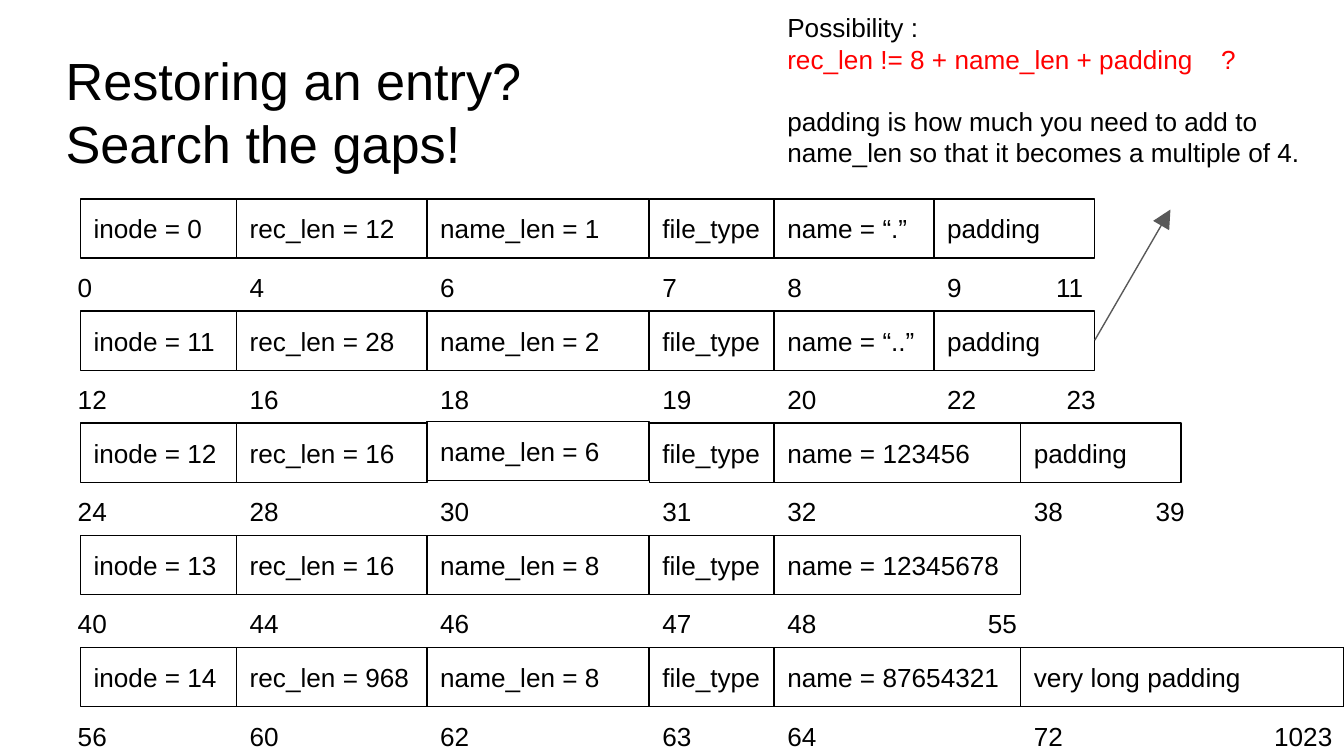
from pptx import Presentation
from pptx.dml.color import RGBColor as RGB
from pptx.enum.shapes import MSO_CONNECTOR as Connector, MSO_SHAPE as Shape
from pptx.enum.text import MSO_ANCHOR as Anchor, MSO_AUTO_SIZE as AutoSize, PP_ALIGN as Align
from pptx.oxml.ns import qn
from pptx.util import Cm, Pt
from lxml.etree import SubElement

TITLE = "Restoring an entry? \vSearch the gaps!"
NOTES = [
    ("Possibility :", "ink", 0),
    ("rec_len != 8 + name_len + padding\t?", "alert", 0),
    ("padding is how much you need to add to name_len so that it becomes a multiple of 4.", "ink", 16.5),
]
FIXED_EDGES = [1.52, 4.47, 8.07, 12.27, 14.63]
ENTRIES = [
    {"fields": ["inode = 0", "rec_len = 12", "name_len = 1", "file_type", "name = “.”", "padding"],
     "offsets": [0, 4, 6, 7, 8, 9], "edges": [17.65, 20.69], "last": (11, 19.71)},
    {"fields": ["inode = 11", "rec_len = 28", "name_len = 2", "file_type", "name = “..”", "padding"],
     "offsets": [12, 16, 18, 19, 20, 22], "edges": [17.65, 20.69], "last": (23, 19.91)},
    {"fields": ["inode = 12", "rec_len = 16", "name_len = 6", "file_type", "name = 123456", "padding"],
     "offsets": [24, 28, 30, 31, 32, 38], "edges": [19.29, 22.32], "last": (39, 21.59)},
    {"fields": ["inode = 13", "rec_len = 16", "name_len = 8", "file_type", "name = 12345678"],
     "offsets": [40, 44, 46, 47, 48], "edges": [19.29], "last": (55, 18.42)},
    {"fields": ["inode = 14", "rec_len = 968", "name_len = 8", "file_type", "name = 87654321", "very long padding"],
     "offsets": [56, 60, 62, 63, 64, 72], "edges": [19.29, 25.4], "last": (1023, 23.83)},
]
RAISED = {"name_len = 6": 0.03}
ROW_TOP, ROW_PITCH, ROW_HEIGHT = 3.76, 2.12, 1.12
FIRST_OFFSET_LEFT, OFFSET_HEIGHT = 1.22, 1.27
ARROW = (20.69, 6.43, 22.12, 3.96)
THEME = {
    "font": "Arial", "title": Pt(28), "body": Pt(14), "line": Pt(0.75),
    "ink": RGB(0, 0, 0), "alert": RGB(255, 0, 0), "arrow": RGB(0x59, 0x59, 0x59),
}


def style_frame(frame, anchor):
    inset = Cm(0.25)
    settings = {
        "word_wrap": True, "auto_size": AutoSize.NONE, "vertical_anchor": anchor,
        "margin_left": inset, "margin_right": inset, "margin_top": inset, "margin_bottom": inset,
    }
    for name, value in settings.items():
        setattr(frame, name, value)


def write(para, text, size="body", color="ink"):
    para.text = text
    para.alignment = Align.LEFT
    for span in para.runs:
        for name, value in {"name": THEME["font"], "size": THEME[size]}.items():
            setattr(span.font, name, value)
        span.font.color.rgb = THEME[color]


def add_field(page, left, top, right, text):
    box = page.shapes.add_shape(Shape.RECTANGLE, Cm(left), Cm(top), Cm(right - left), Cm(ROW_HEIGHT))
    box.shadow.inherit = False
    box.fill.background()
    box.line.color.rgb = THEME["ink"]
    box.line.width = THEME["line"]
    style_frame(box.text_frame, Anchor.MIDDLE)
    write(box.text_frame.paragraphs[0], text)


def add_offset(page, left, top, number):
    text = str(number)
    width = 0.55 + 0.3 * len(text)
    box = page.shapes.add_textbox(Cm(left), Cm(top), Cm(width), Cm(OFFSET_HEIGHT))
    style_frame(box.text_frame, Anchor.TOP)
    write(box.text_frame.paragraphs[0], text)


def add_entry(page, entry, top):
    edges = FIXED_EDGES + entry["edges"]
    for left, right, text in zip(edges, edges[1:], entry["fields"]):
        add_field(page, left, top - RAISED.get(text, 0), right, text)
    lefts = [FIRST_OFFSET_LEFT] + edges[1:]
    for left, number in zip(lefts, entry["offsets"]):
        add_offset(page, left, top + ROW_HEIGHT, number)
    number, left = entry["last"]
    add_offset(page, left, top + ROW_HEIGHT, number)


def add_title(page):
    title = page.shapes.title
    bounds = {"left": 0.99, "top": 0.66, "width": 23.67, "height": 1.6}
    for name, value in bounds.items():
        setattr(title, name, Cm(value))
    style_frame(title.text_frame, Anchor.TOP)
    write(title.text_frame.paragraphs[0], TITLE, "title")


def add_arrow(page):
    arrow = page.shapes.add_connector(Connector.STRAIGHT, *map(Cm, ARROW))
    arrow.line.color.rgb = THEME["arrow"]
    arrow.line.width = THEME["line"]
    SubElement(arrow.line._get_or_add_ln(), qn("a:tailEnd"), type="triangle", w="lg", len="lg")
    SubElement(arrow._element.spPr, qn("a:effectLst"))


def add_notes(page):
    box = page.shapes.add_textbox(Cm(14.63), Cm(-0.03), Cm(10.57), Cm(3.71))
    frame = box.text_frame
    style_frame(frame, Anchor.TOP)
    for index, (text, color, gap) in enumerate(NOTES):
        para = frame.add_paragraph() if index else frame.paragraphs[0]
        write(para, text, color=color)
        para.space_before = Pt(gap)
        if "\t" in text:
            stops = SubElement(para._p.get_or_add_pPr(), qn("a:tabLst"))
            SubElement(stops, qn("a:tab"), pos=str(Cm(8.2)), algn="l")


def main():
    deck = Presentation()
    deck.slide_width, deck.slide_height = Cm(25.4), Cm(14.29)
    page = deck.slides.add_slide(deck.slide_layouts[5])
    add_title(page)
    for row, entry in enumerate(ENTRIES):
        add_entry(page, entry, ROW_TOP + row * ROW_PITCH)
    add_arrow(page)
    add_notes(page)
    deck.save("out.pptx")


if __name__ == "__main__":
    main()
